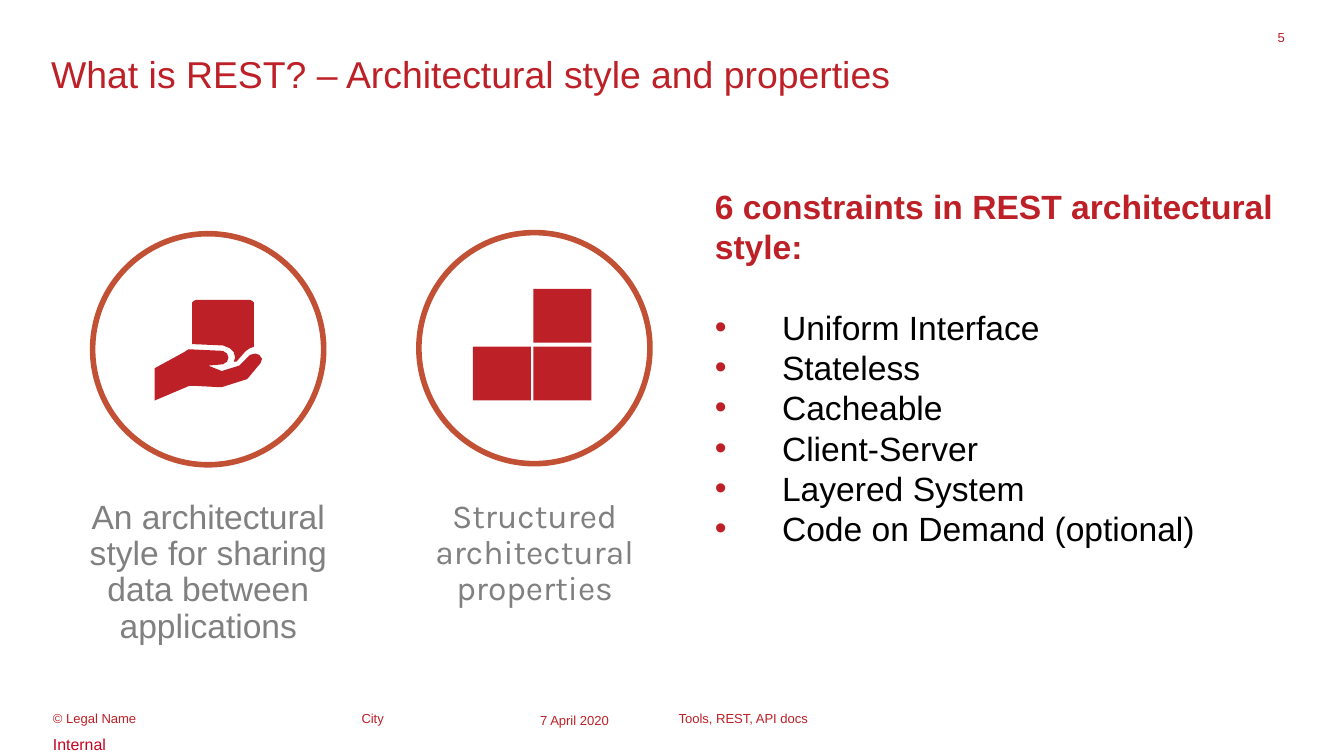
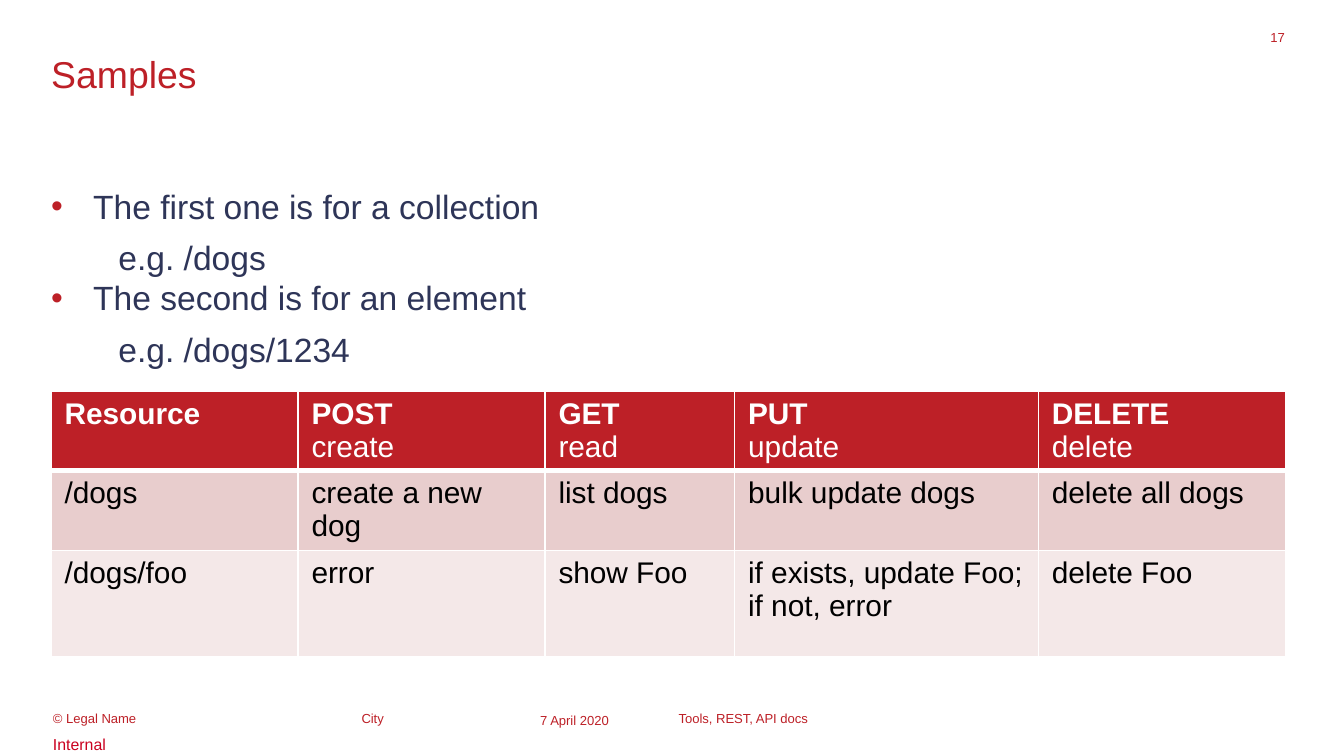
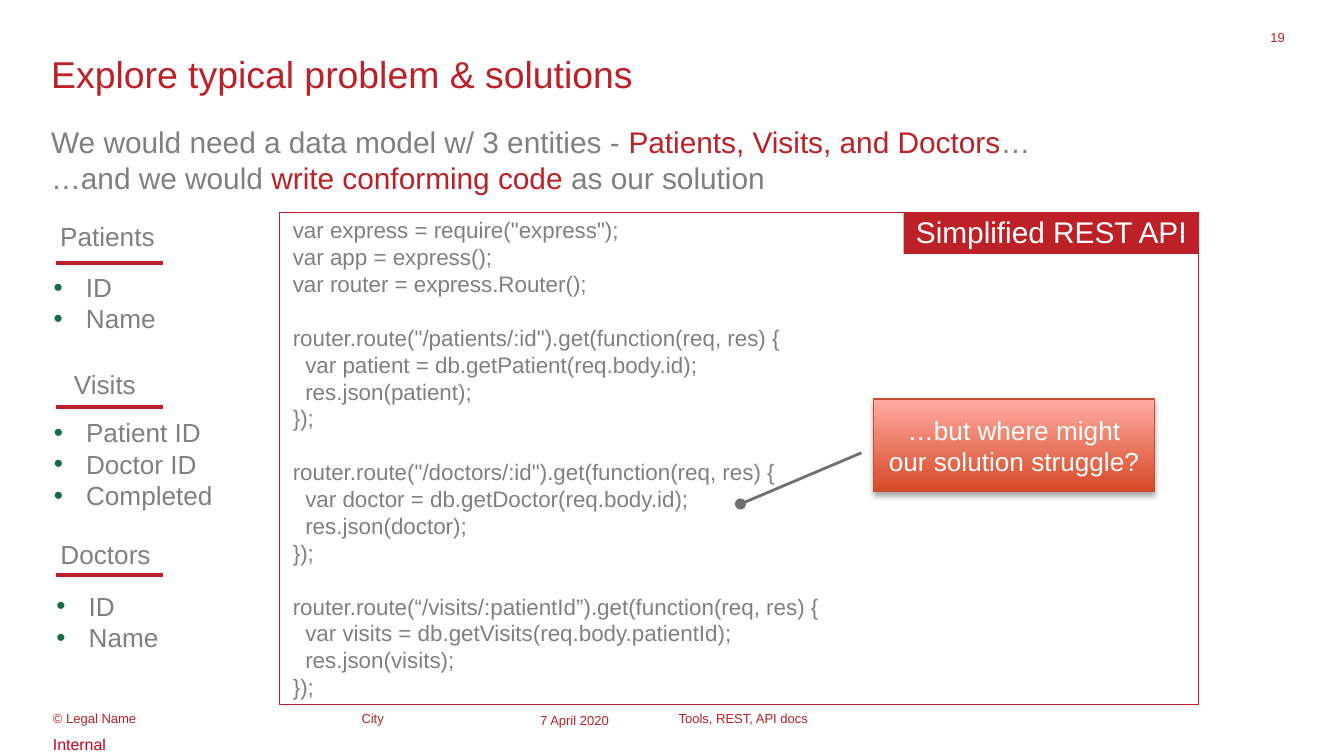
import pptx
import pptx.dml.color
import pptx.enum.shapes
import pptx.enum.text
import pptx.oxml
import pptx.oxml.ns
import pptx.util
from lxml import etree

Pt = pptx.util.Pt
Align = pptx.enum.text.PP_ALIGN
Anchor = pptx.enum.text.MSO_ANCHOR
Shape = pptx.enum.shapes.MSO_SHAPE
qn = pptx.oxml.ns.qn

RED = "BD2027"
RUST = "C15034"
GREY = "808080"
NAVY = "2E3558"
GREEN = "146D46"
WHITE = "FFFFFF"
BLACK = "000000"
FONT = "Arial"
PADDED = (7.2, 3.6, 7.2, 3.6)
LEFT = 27.4
CONTENT_WIDTH = 661


def rgb(value):
    return pptx.dml.color.RGBColor.from_string(value)


def place(left, top, width, height):
    return Pt(left), Pt(top), Pt(width), Pt(height)


def style_run(span, size, color, bold=False, font=FONT):
    span.font.size = Pt(size)
    span.font.name = font
    span.font.bold = bold
    span.font.color.rgb = rgb(color)


def write(box, text, size, color, bold=False, font=FONT, align=Align.LEFT,
          anchor=Anchor.TOP, spacing=1.0, inset=(0, 0, 0, 0)):
    frame = box.text_frame
    frame.word_wrap = True
    frame.auto_size = pptx.enum.text.MSO_AUTO_SIZE.NONE
    frame.vertical_anchor = anchor
    (frame.margin_left, frame.margin_top,
     frame.margin_right, frame.margin_bottom) = map(Pt, inset)
    frame.text = text
    for para in frame.paragraphs:
        para.alignment = align
        para.line_spacing = spacing
        for span in para.runs:
            style_run(span, size, color, bold, font)
    return frame.paragraphs


def add_text(page, area, text, size, color, **style):
    box = page.shapes.add_textbox(*place(*area))
    return write(box, text, size, color, **style)


def add_panel(page, kind, area, fill=None, line=None, width=1):
    panel = page.shapes.add_shape(kind, *place(*area))
    panel.shadow.inherit = False
    if fill:
        panel.fill.solid()
        panel.fill.fore_color.rgb = rgb(fill)
    else:
        panel.fill.background()
    if line:
        panel.line.color.rgb = rgb(line)
        panel.line.width = Pt(width)
    else:
        panel.line.fill.background()
    return panel


def add_line(page, start, end, color, width):
    line = page.shapes.add_connector(
        pptx.enum.shapes.MSO_CONNECTOR.STRAIGHT, *map(Pt, start + end))
    line.line.color.rgb = rgb(color)
    line.line.width = Pt(width)
    etree.SubElement(line._element.spPr, qn("a:effectLst"))
    return line


def indent(para, left, first=0):
    properties = para._p.get_or_add_pPr()
    properties.set("marL", str(Pt(left)))
    properties.set("indent", str(Pt(first)))
    return properties


def bullet(para, color, left, hang):
    properties = indent(para, left, -hang)
    tint = etree.SubElement(properties, qn("a:buClr"))
    etree.SubElement(tint, qn("a:srgbClr"), val=color)
    etree.SubElement(properties, qn("a:buFont"), typeface=FONT)
    etree.SubElement(properties, qn("a:buChar"), char="•")


def add_page(deck, title, number):
    page = deck.slides.add_slide(deck.slide_layouts[5])
    heading = page.shapes.title
    heading.left, heading.top, heading.width, heading.height = place(
        LEFT, 27.4, CONTENT_WIDTH, 36.7)
    write(heading, title, 20, RED)
    add_text(page, (672.5, 15.8, 15.8, 10.8), number, 7, RED, align=Align.RIGHT)
    add_footer(page, 381.6)
    return page


def add_footer(page, top):
    for text, left, width, anchor in (
            ("© Legal Name", 28.4, 155.5, Anchor.MIDDLE),
            ("City", 193.7, 88.6, Anchor.MIDDLE),
            ("7 April 2020", 289.4, 62.6, Anchor.TOP),
            ("Tools, REST, API docs", 363.6, 228.2, Anchor.MIDDLE)):
        add_text(page, (left, top, width, 6.5), text, 7, RED, anchor=anchor)
    add_text(page, (0, top + 8.2, 720, 17.3), "Internal", 8.5, "CA001F",
             inset=(28.4, 3.6, 7.2, 3.6))


def add_icon(page, left, top, contours):
    hundredth_inch = Pt(0.72)
    builder = page.shapes.build_freeform(*contours[0][0], scale=hundredth_inch)
    builder.add_line_segments(contours[0][1:])
    for contour in contours[1:]:
        builder.move_to(*contour[0])
        builder.add_line_segments(contour[1:])
    icon = builder.convert_to_shape(Pt(left), Pt(top))
    icon.shadow.inherit = False
    icon.fill.solid()
    icon.fill.fore_color.rgb = rgb(RED)
    icon.line.fill.background()


def add_feature(page, left, top, icon, icon_offset, caption, font):
    add_panel(page, Shape.OVAL, (left + 5, top, 123.8, 123.8), line=RUST, width=3)
    add_icon(page, left + icon_offset[0], top + icon_offset[1], icon)
    add_text(page, (left, top + 142.8, 134, 42.5), caption, 18, GREY,
             font=font, align=Align.CENTER, spacing=0.9)


def add_constraints(page, area):
    names = ["Uniform Interface", "Stateless", "Cacheable", "Client-Server",
             "Layered System", "Code on Demand (optional)"]
    heading = "6 constraints in REST architectural style:"
    paras = add_text(page, area, "\n".join([heading] + names), 18, BLACK)
    style_run(paras[0].runs[0], 18, RED, bold=True)
    paras[1].space_before = Pt(21.6)
    for para in paras[1:]:
        bullet(para, RED, 36, 36)


def build_properties(deck):
    page = add_page(deck, "What is REST? – Architectural style and properties", "5")
    parcel = [(28, 33), (28, 2), (29, 1), (31, 0), (71, 0), (73, 1), (74, 2),
              (74, 35), (71, 36), (68, 38), (61, 46), (59, 46), (60, 43),
              (59, 39), (56, 36), (51, 34), (29, 33)]
    hand = [(0, 51), (0, 75), (26, 64), (29, 64), (48, 65), (50, 65), (69, 59),
            (79, 47), (80, 44), (78, 41), (75, 40), (71, 41), (63, 49), (50, 53),
            (40, 49), (51, 48), (54, 46), (55, 43), (54, 40), (51, 38), (29, 37),
            (25, 37), (22, 39)]
    blocks = [[(x, y), (x + 43, y), (x + 43, y + 40), (x, y + 40)]
              for x, y in ((0, 43), (45, 43), (45, 0))]
    add_feature(page, 44.6, 125.2, [parcel, hand], (38.2, 35.4),
                "An architectural style for sharing data between applications", FONT)
    add_feature(page, 219.4, 124.6, blocks, (34, 30.2),
                "Structured architectural properties", "Karla")
    add_constraints(page, (383, 99.4, 305.3, 258.5))


def add_sample_list(page, area):
    paras = add_text(page, area, "The first one is for a collection\ne.g. /dogs\n"
                     "The second is for an element\ne.g. /dogs/1234", 18, NAVY)
    for topic, example in zip(paras[::2], paras[1::2]):
        bullet(topic, RED, 22.5, 22.5)
        indent(example, 36)
        example.space_before = Pt(6)


def set_borders(cell, top, bottom):
    properties = cell._tc.get_or_add_tcPr()
    for side, width in (("L", 1), ("R", 1), ("T", top), ("B", bottom)):
        border = etree.SubElement(properties, qn("a:ln" + side), w=str(Pt(width)))
        fill = etree.SubElement(border, qn("a:solidFill"))
        etree.SubElement(fill, qn("a:srgbClr"), val=WHITE)


def add_resource_table(page, left, top):
    rows = [
        ["Resource", "POST\ncreate", "GET\nread", "PUT\nupdate", "DELETE\ndelete"],
        ["/dogs", "create a new dog", "list dogs", "bulk update dogs", "delete all dogs"],
        ["/dogs/foo", "error", "show Foo", "if exists, update Foo;\nif not, error",
         "delete Foo"],
    ]
    widths = [132.3, 132.3, 101.6, 162.7, 132.3]
    heights = [42.2, 43, 57]
    fills = [RED, "E8CDCD", "F4E8E8"]
    table = page.shapes.add_table(len(rows), len(widths), *place(
        left, top, sum(widths), sum(heights))).table
    table.horz_banding = False
    for column, width in zip(table.columns, widths):
        column.width = Pt(width)
    for index, values in enumerate(rows):
        table.rows[index].height = Pt(heights[index])
        for column, value in enumerate(values):
            cell = table.cell(index, column)
            cell.margin_top = Pt(3.4)
            cell.margin_bottom = Pt(2)
            set_borders(cell, 3 if index == 1 else 1, 3 if index == 0 else 1)
            cell.fill.solid()
            cell.fill.fore_color.rgb = rgb(fills[index])
            cell.text_frame.text = value
            for line, para in enumerate(cell.text_frame.paragraphs):
                style_run(para.runs[0], 16, BLACK if index else WHITE,
                          bold=index == 0 and line == 0)


def build_samples(deck):
    page = add_page(deck, "Samples", "17")
    add_sample_list(page, (LEFT, 99.4, CONTENT_WIDTH, 110.9))
    add_resource_table(page, LEFT, 209.8)


def add_subtitle(page, area):
    lines = [
        [("We would need a data model w/ 3 entities - ", GREY),
         ("Patients, Visits, and Doctors", RED), ("…", GREY)],
        [("…and we would ", GREY), ("write conforming code ", RED),
         ("as our solution", GREY)],
    ]
    paras = add_text(page, area, "\n".join(line[0][0] for line in lines), 16, GREY)
    for para, line in zip(paras, lines):
        for text, color in line[1:]:
            span = para.add_run()
            span.text = text
            style_run(span, 16, color)


def add_entity(page, name, fields, caption, rule_top, listing):
    add_text(page, caption, name, 14, GREY, align=Align.CENTER,
             anchor=Anchor.MIDDLE, inset=PADDED)
    add_line(page, (30.2, rule_top), (87.1, rule_top), RED, 2.25)
    for para in add_text(page, listing, "\n".join(fields), 14, GREY):
        bullet(para, GREEN, 25.2, 17.3)


def add_code(page, left, top, width, height):
    blocks = [
        ['var express = require("express");', "var app = express();",
         "var router = express.Router();"],
        ['router.route("/patients/:id").get(function(req, res) {',
         "  var patient = db.getPatient(req.body.id);", "  res.json(patient);", "});"],
        ['router.route("/doctors/:id").get(function(req, res) {',
         "  var doctor = db.getDoctor(req.body.id);", "  res.json(doctor);", "});"],
        ["router.route(“/visits/:patientId”).get(function(req, res) {",
         "  var visits = db.getVisits(req.body.patientId);", "  res.json(visits);", "});"],
    ]
    lines = [line for block in blocks for line in block]
    panel = add_panel(page, Shape.RECTANGLE, (left, top, width, height), WHITE, RED, 0.5)
    paras = write(panel, "\n".join(line.strip() for line in lines), 12, GREY,
                  anchor=Anchor.MIDDLE, inset=PADDED)
    for para, line in zip(paras, lines):
        if line.startswith(" "):
            indent(para, 6.7)
        if line.startswith("router"):
            para.space_before = Pt(14.4)
    label = add_panel(page, Shape.RECTANGLE,
                      (left + width - 158.2, top + 0.4, 158.4, 21.8), RED)
    write(label, "Simplified REST API", 16, WHITE, align=Align.CENTER,
          anchor=Anchor.MIDDLE, spacing=0.9)


def add_callout(page, left, top, width, height):
    pointer = add_line(page, (left - 71.3, top + 56.2), (left - 6.5, top + 28.8),
                       "707070", 1.5)
    etree.SubElement(pointer.line._get_or_add_ln(), qn("a:headEnd"), type="oval")
    panel = add_panel(page, Shape.RECTANGLE, (left, top, width, height), RED, RUST, 0.75)
    panel.fill.gradient()
    panel.fill.gradient_angle = 90
    for stop, position, color in zip(panel.fill.gradient_stops, (0, 1), ("D74824", "FFADA3")):
        stop.position = position
        stop.color.rgb = rgb(color)
    effects = panel._element.spPr.find(qn("a:effectLst"))
    shadow = etree.SubElement(effects, qn("a:outerShdw"), blurRad=str(Pt(3.1)),
                              dist=str(Pt(1.8)), dir="5400000", rotWithShape="0")
    tint = etree.SubElement(shadow, qn("a:srgbClr"), val=BLACK)
    etree.SubElement(tint, qn("a:alpha"), val="35000")
    write(panel, "…but where might our solution struggle?", 14, WHITE,
          align=Align.CENTER, anchor=Anchor.MIDDLE, inset=PADDED)


def build_problem(deck):
    page = add_page(deck, "Explore typical problem & solutions", "19")
    add_subtitle(page, (LEFT, 66.2, CONTENT_WIDTH, 23))
    add_entity(page, "Patients", ["ID", "Name"], (24.5, 113.8, 66.2, 25.2),
               141.1, (20.9, 145.4, 79.2, 36.7))
    add_entity(page, "Visits", ["Patient ID", "Doctor ID", "Completed"],
               (27.4, 193, 57.6, 25.2), 218.2, (20.9, 223.2, 118.8, 51.1))
    add_entity(page, "Doctors", ["ID", "Name"], (20.9, 285.1, 71.3, 23),
               308.2, (22.3, 316.1, 71.3, 36.7))
    add_code(page, 149.8, 113.8, 492.5, 263.5)
    add_callout(page, 468, 213.8, 150.5, 49.7)


def main():
    deck = pptx.Presentation()
    deck.slide_width, deck.slide_height = Pt(720), Pt(405)
    build_properties(deck)
    build_samples(deck)
    build_problem(deck)
    deck.save("out.pptx")


if __name__ == "__main__":
    main()
